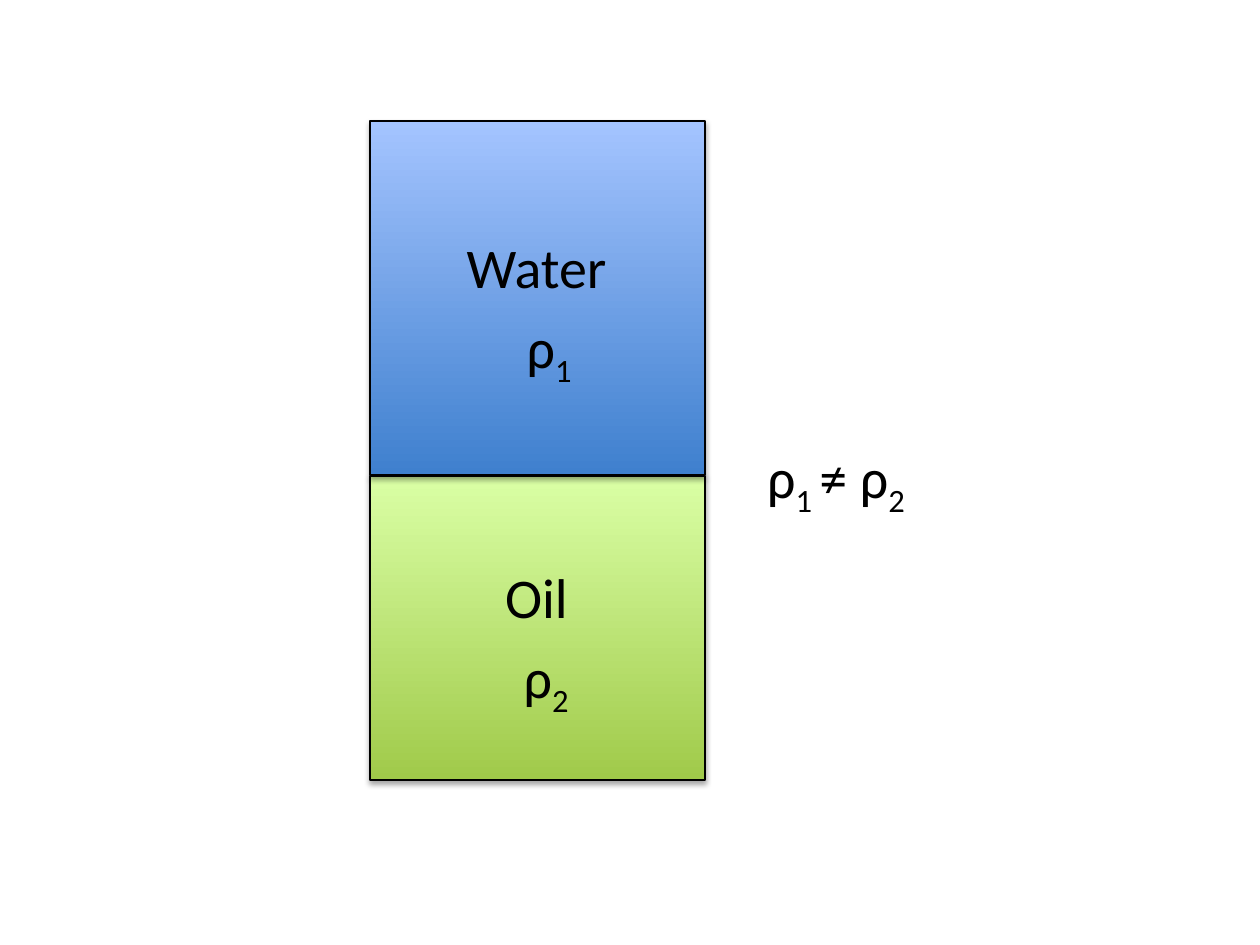
"""Build a slide of water resting on oil with their densities."""
from lxml.etree import fromstring
from pptx import Presentation
from pptx.dml.color import RGBColor
from pptx.enum.shapes import MSO_SHAPE as SHAPE
from pptx.enum.text import MSO_AUTO_SIZE as AUTO, PP_ALIGN as ALIGN
from pptx.oxml.ns import qn
from pptx.util import Pt

PX = 914400 // 126
BLACK = "000000"
SHADOW = (
    '<a:outerShdw xmlns:a="http://schemas.openxmlformats.org/drawingml/2006/main"'
    ' blurRad="40000" dist="23000" dir="5400000" rotWithShape="0">'
    '<a:srgbClr val="000000"><a:alpha val="35000"/></a:srgbClr></a:outerShdw>'
)


def rgb(color):
    return RGBColor.from_string(color)


def add_text(runs, x, y, w, h=81, size=32, font="Calibri", color=BLACK):
    tf = s.shapes.add_textbox(x * PX, y * PX, w * PX, h * PX).text_frame
    tf.word_wrap = True
    tf.auto_size = AUTO.SHAPE_TO_FIT_TEXT
    p = tf.paragraphs[0]
    p.alignment = ALIGN.CENTER
    for text, subscript in runs:
        r = p.add_run()
        r.text = text
        r.font.size = Pt(size)
        r.font.name = font
        r.font.color.rgb = rgb(color)
        if subscript:
            r._r.get_or_add_rPr().set("baseline", "-25000")


prs = Presentation()
prs.slide_width, prs.slide_height = 1260 * PX, 945 * PX
s = prs.slides.add_slide(prs.slide_layouts[6])

layers = [
    (476, 304, "A0CA4A", "DAFFA5"),
    (121, 354, "3F80CE", "A4C4FF"),
]
for y, h, bottom, top in layers:
    sp = s.shapes.add_shape(SHAPE.RECTANGLE, 370 * PX, y * PX, 335 * PX, h * PX)
    sp.fill.gradient()
    sp.fill.gradient_angle = 90
    for stop, color in zip(sp.fill.gradient_stops, (bottom, top)):
        stop.color.rgb = rgb(color)
    sp.line.color.rgb = rgb(BLACK)
    sp.line.width = Pt(0.75)
    sp.shadow.inherit = False
    sp._element.spPr.find(qn("a:effectLst")).append(fromstring(SHADOW))

for name, number, y, density_x in [("Water", "1", 226, 494), ("Oil", "2", 556, 491)]:
    add_text([(name, False)], 452, y, 169)
    add_text([("ρ", False), (number, True)], density_x, y + 80, 110)
add_text([("ρ", False), ("1 ", True), ("≠ ρ", False), ("2", True)], 735, 436, 202)

prs.save("out.pptx")
